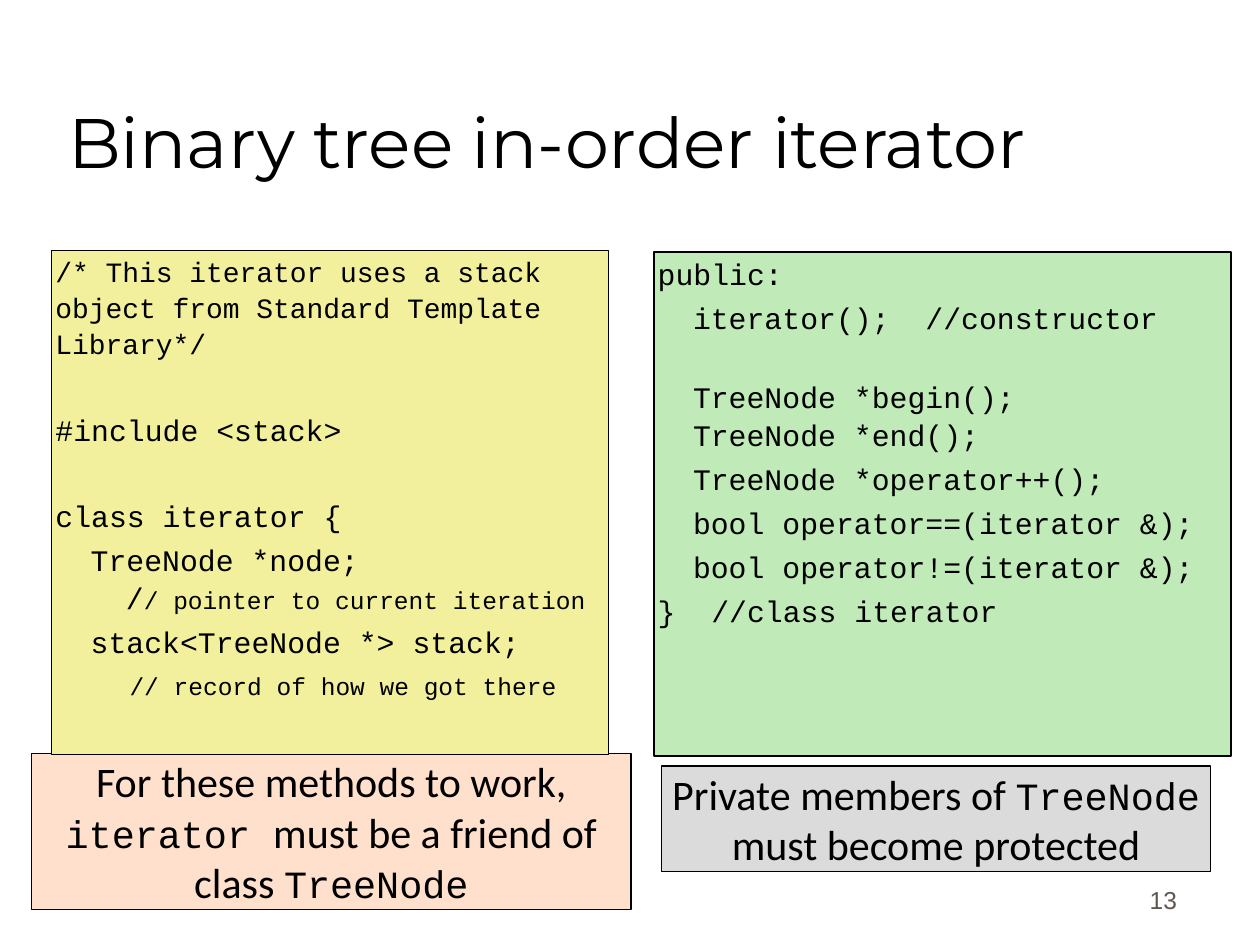
"""Build the slide on the in-order iterator of a binary tree."""
from pptx import Presentation
from pptx.dml.color import RGBColor
from pptx.enum.shapes import MSO_SHAPE
from pptx.enum.text import MSO_ANCHOR, MSO_AUTO_SIZE, PP_ALIGN
from pptx.oxml.ns import qn
from pptx.util import Inches, Pt

SANS, MONO = ("Calibri", 24), ("Courier New", 22)
CODE, INTRO, NOTE = ("Courier New", 17), ("Courier New", 16), ("Courier New", 14)
GAP = 3.4
INDENT = 0.28

ITERATOR_CLASS = [
    (GAP, 0, [("/* This iterator uses a stack object from Standard Template Library*/", INTRO)]),
    (28, 0, [("#include <stack>", CODE)]),
    (27.5, 0, [("class iterator {", CODE)]),
    (GAP, 1, [("TreeNode *node;", CODE)]),
    (0, 2, [("/", CODE), ("/ pointer to current iteration", NOTE)]),
    (GAP, 1, [("stack<TreeNode *> stack;", CODE)]),
    (5, 2.1, [("// record of how we got there", NOTE)]),
]
PUBLIC_MEMBERS = [
    (space, level, [(text, CODE)])
    for space, level, text in [
        (GAP, 0, "public:"),
        (GAP, 1, "iterator();  //constructor"),
        (23, 1, "TreeNode *begin();"),
        (0, 1, "TreeNode *end();"),
        (GAP, 1, "TreeNode *operator++();"),
        (GAP, 1, "bool operator==(iterator &);"),
        (GAP, 1, "bool operator!=(iterator &);"),
        (GAP, 0, "}  //class iterator"),
    ]
]


def color(value):
    return RGBColor.from_string(value)


def apply(target, values):
    for name, value in values.items():
        setattr(target, name, value)


class SlideBuilder:
    """Hold the style and the current slide."""

    ink = "000000"
    frame = {
        "margin_left": Inches(0.03), "margin_right": Inches(0.03),
        "margin_top": Inches(0.01), "margin_bottom": Inches(0.01),
        "word_wrap": True, "auto_size": MSO_AUTO_SIZE.NONE,
    }

    def __init__(self, slide):
        self.s = slide

    def place(self, sp, box):
        apply(sp, dict(zip(("left", "top", "width", "height"), map(Inches, box))))

    def panel(self, sp, fill):
        sp.fill.solid()
        sp.fill.fore_color.rgb = color(fill)
        sp.line.color.rgb = color(self.ink)
        sp.line.width = Pt(0.75)
        apply(sp.text_frame, self.frame)

    def runs(self, p, runs, ink=ink):
        for text, (name, size) in runs:
            if text == "\n":
                p.add_line_break()
                continue
            r = p.add_run()
            r.text = text
            apply(r.font, {"name": name, "size": Pt(size)})
            r.font.color.rgb = color(ink)

    def title(self, text, box):
        sp = self.s.shapes.title
        self.place(sp, box)
        apply(sp.text_frame, {"vertical_anchor": MSO_ANCHOR.BOTTOM, "word_wrap": True})
        p = sp.text_frame.paragraphs[0]
        p.alignment = PP_ALIGN.LEFT
        self.runs(p, [(text, ("Montserrat", 40))])

    def code(self, index, box, fill, lines):
        sp = self.s.placeholders[index]
        self.place(sp, box)
        self.panel(sp, fill)
        tf = sp.text_frame
        tf.vertical_anchor = MSO_ANCHOR.TOP
        for i, (space, level, runs) in enumerate(lines):
            p = tf.add_paragraph() if i else tf.paragraphs[0]
            apply(p, {"alignment": PP_ALIGN.LEFT, "space_before": Pt(space), "line_spacing": 1.07})
            pPr = p._p.get_or_add_pPr()
            pPr.set("marL", str(Inches(INDENT * level)))
            pPr.set("indent", "0")
            pPr.append(pPr.makeelement(qn("a:buNone"), {}))
            self.runs(p, runs)

    def callout(self, box, fill, runs, wrap=True):
        sp = self.s.shapes.add_shape(MSO_SHAPE.RECTANGLE, *map(Inches, box))
        sp.shadow.inherit = False
        self.panel(sp, fill)
        apply(sp.text_frame, {"vertical_anchor": MSO_ANCHOR.MIDDLE, "word_wrap": wrap})
        p = sp.text_frame.paragraphs[0]
        p.alignment = PP_ALIGN.CENTER
        self.runs(p, runs)
        return sp

    def send_to_back(self, sp):
        self.s.shapes._spTree.insert(2, sp._element)

    def number(self, text, box):
        tf = self.s.shapes.add_textbox(*map(Inches, box)).text_frame
        apply(tf, {"word_wrap": True, "vertical_anchor": MSO_ANCHOR.BOTTOM})
        p = tf.paragraphs[0]
        p.alignment = PP_ALIGN.RIGHT
        self.runs(p, [(text, ("Arial", 14))], "5E574E")


def main():
    prs = Presentation()
    apply(prs, {"slide_width": Inches(10), "slide_height": Inches(7.5)})
    b = SlideBuilder(prs.slides.add_slide(prs.slide_layouts[3]))
    b.title("Binary tree in-order iterator", (0.44, 0.25, 8.5, 1.25))
    b.code(1, (0.41, 1.99, 4.42, 4), "F2F09C", ITERATOR_CLASS)
    b.code(2, (5.19, 2, 4.58, 4), "C0EAB8", PUBLIC_MEMBERS)
    friend = b.callout((0.25, 5.98, 4.76, 1.24), "FFE0CC", [
        ("For these methods to work, ", SANS), ("iterator ", MONO),
        ("must be a friend of class ", SANS), ("TreeNode", MONO)])
    b.send_to_back(friend)
    b.callout((5.25, 6.08, 4.36, 0.84), "DBDBDB", [
        ("Private members of ", SANS), ("TreeNode", MONO), ("\n", MONO),
        ("must become protected", SANS)], wrap=False)
    b.number("13", (7.36, 6.81, 2.08, 0.5))
    prs.save("out.pptx")


if __name__ == "__main__":
    main()
